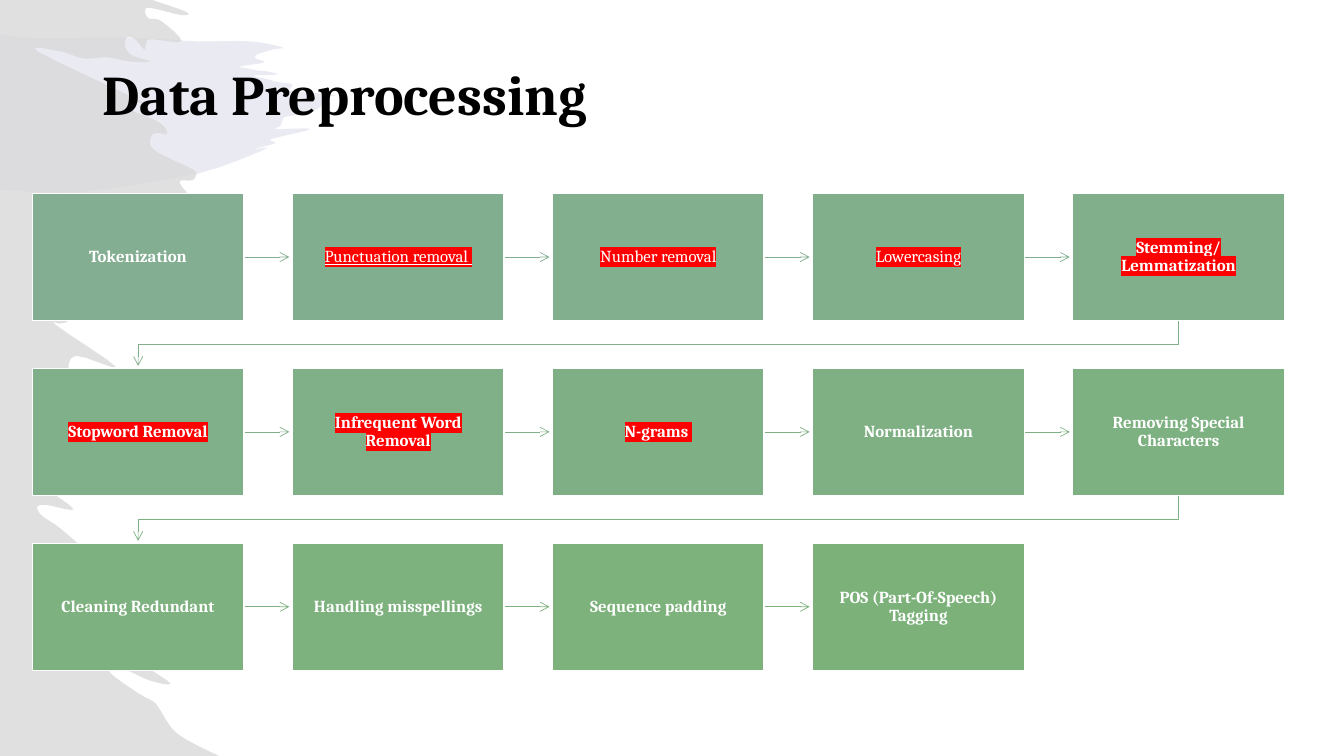
from lxml import etree
from pptx import Presentation
from pptx.dml.color import RGBColor
from pptx.enum.shapes import MSO_CONNECTOR, MSO_SHAPE
from pptx.enum.text import MSO_ANCHOR, PP_ALIGN
from pptx.oxml.ns import qn
from pptx.util import Inches, Pt

STRAIGHT = MSO_CONNECTOR.STRAIGHT
RECTANGLE = MSO_SHAPE.RECTANGLE
MIDDLE = MSO_ANCHOR.MIDDLE
CENTER = PP_ALIGN.CENTER

BLACK = RGBColor(0x00, 0x00, 0x00)
WHITE = RGBColor(0xFF, 0xFF, 0xFF)
RED = RGBColor(0xFF, 0x00, 0x00)
GRAY = RGBColor(0xD9, 0xD9, 0xD9)
LAVENDER = RGBColor(0x97, 0x96, 0xC6)
FIRST_GREEN = RGBColor(0x83, 0xAE, 0x92)
LAST_GREEN = RGBColor(0x7C, 0xB2, 0x7A)
FONT = "Cambria"

COLUMNS = 5
STEP_WIDTH, STEP_HEIGHT = 2.1, 1.26
COLUMN_PITCH, ROW_PITCH = 2.58, 1.735
ARROW_LENGTH = 0.45

# Each step: text, bold, underlined, highlighted
STEPS = [
    ("Tokenization", True, False, False),
    ("Punctuation removal ", False, True, True),
    ("Number removal", False, False, True),
    ("Lowercasing", False, False, True),
    ("Stemming/Lemmatization", True, False, True),
    ("Stopword Removal", True, False, True),
    ("Infrequent Word Removal", True, False, True),
    ("N-grams ", True, False, True),
    ("Normalization", True, False, False),
    ("Removing Special Characters", True, False, False),
    ("Cleaning Redundant", True, False, False),
    ("Handling misspellings", True, False, False),
    ("Sequence padding", True, False, False),
    ("POS (Part-Of-Speech) Tagging", True, False, False),
]

LAVENDER_STROKE = [
    (0, 0.34), (0.25, 0.37), (0.66, 0.38), (1.02, 0.37), (1.51, 0.38), (1.94, 0.41),
    (2.48, 0.41), (2.8, 0.47), (2.71, 0.49), (2.55, 0.54), (2.53, 0.57), (2.56, 0.59),
    (2.62, 0.62), (2.38, 0.66), (2.46, 0.68), (2.56, 0.7), (2.66, 0.71), (2.75, 0.74),
    (2.51, 0.75), (2.63, 0.78), (2.73, 0.81), (2.8, 0.82), (2.88, 0.83), (2.9, 0.85),
    (2.87, 0.88), (2.84, 0.88), (2.63, 0.88), (3.3, 0.94), (3.21, 0.97), (3.18, 1.06),
    (3.07, 1.11), (3, 1.13), (2.83, 1.16), (2.8, 1.2), (2.78, 1.25), (2.74, 1.28),
    (3.08, 1.28), (2.69, 1.38), (2.73, 1.42), (2.52, 1.48), (2.63, 1.48), (1.97, 1.72),
    (1.02, 1.88), (0.65, 1.91), (0.23, 1.9), (0, 1.88),
]
GRAY_STROKE = [
    (1.51, 0), (1.85, 0.12), (1.8, 0.15), (1.5, 0.08), (1.44, 0.1), (1.47, 0.18),
    (1.6, 0.21), (1.8, 0.41), (1.5, 0.39), (1.45, 0.43), (1.43, 0.49), (1.34, 0.39),
    (1.26, 0.37), (1.24, 0.46), (1.31, 0.55), (1.49, 0.61), (1.29, 0.61), (1.07, 0.57),
    (0.83, 0.58), (0.6, 0.51), (0.37, 0.51), (1.39, 1), (1.34, 1.01), (1.27, 1.04),
    (1.32, 1.1), (1.59, 1.22), (1.66, 1.33), (1.57, 1.32), (1.5, 1.35), (1.53, 1.49),
    (1.91, 1.68), (1.94, 1.75), (1.9, 1.79), (1.78, 1.81), (1.95, 2.02), (2.01, 2.08),
    (2.12, 2.17), (2.12, 2.2), (1.97, 2.3), (1.71, 2.27), (2.1, 2.42), (0.84, 2.07),
    (0.92, 2.16), (1.36, 2.4), (1.49, 2.54), (1.62, 2.63), (1.8, 2.63), (1.93, 2.75),
    (1.8, 2.78), (1.64, 2.76), (1.46, 2.8), (1.3, 2.77), (1.1, 2.79), (1.04, 2.94),
    (1.02, 2.96), (0.65, 3.2), (0.55, 3.22), (1.15, 3.64), (0.75, 3.53), (0.69, 3.71),
    (0.88, 3.87), (0.95, 4.19), (0.92, 4.47), (0.84, 4.56), (0.72, 4.73), (0.64, 4.83),
    (0.39, 4.79), (0.73, 5.05), (0.46, 5.01), (0.37, 5.03), (0.42, 5.12), (0.62, 5.26),
    (1.03, 5.64), (0.63, 5.46), (1.05, 5.85), (1.15, 5.99), (1.34, 6.31), (1.33, 6.34),
    (1.11, 6.29), (1.39, 6.57), (1.69, 6.78), (1.48, 6.75), (1.19, 6.62), (1.09, 6.67),
    (1.36, 6.87), (1.52, 6.96), (1.58, 7.03), (1.76, 7.28), (2.17, 7.5),
]


def smooth(points, parts=4):
    """Return points along a Catmull-Rom curve through the given points."""
    padded = [points[0], *points, points[-1]]
    curve = []
    for a, b, c, d in zip(padded, padded[1:], padded[2:], padded[3:]):
        for t in (part / parts for part in range(parts)):
            curve.append(tuple(
                b[i] + 0.5 * t * (c[i] - a[i]
                                  + t * (2 * a[i] - 5 * b[i] + 4 * c[i] - d[i])
                                  + t * t * (3 * b[i] - a[i] - 3 * c[i] + d[i]))
                for i in (0, 1)))
    return curve + [points[-1]]


def add_outline(slide, points, close):
    """Add a freeform through points given in inches."""
    corners = [(Inches(x), Inches(y)) for x, y in points]
    builder = slide.shapes.build_freeform(*corners[0], scale=1.0)
    builder.add_line_segments(corners[1:], close=close)
    shape = builder.convert_to_shape()
    shape.shadow.inherit = False
    return shape


def add_brush_stroke(slide, points, color, opacity):
    """Add a translucent brush stroke."""
    shape = add_outline(slide, points, True)
    shape.fill.solid()
    shape.fill.fore_color.rgb = color
    shape.line.fill.background()
    color_element = shape.fill._xPr.find(qn("a:solidFill"))[0]
    etree.SubElement(color_element, qn("a:alpha"), val=str(opacity * 1000))


def add_title(slide, left, top, width, height):
    """Add the slide title in the given box."""
    box = slide.shapes.add_textbox(*map(Inches, (left, top, width, height)))
    frame = box.text_frame
    frame.word_wrap = True
    frame.vertical_anchor = MIDDLE
    paragraph = frame.paragraphs[0]
    paragraph.text = "Data Preprocessing"
    paragraph.line_spacing = 0.9
    style_font(paragraph.font, 40, BLACK, True)


def style_font(font, size, color, bold):
    """Set the common properties of a font."""
    font.name = FONT
    font.size = Pt(size)
    font.color.rgb = color
    font.bold = bold


def style_arrow(line, color):
    """Make a line thin with an open arrowhead at its end."""
    line.color.rgb = color
    line.width = Pt(0.5)
    etree.SubElement(line._get_or_add_ln(), qn("a:tailEnd"), type="arrow")


def add_step(slide, left, top, step, color):
    """Add one step box with its label."""
    text, bold, underlined, highlighted = step
    shape = slide.shapes.add_shape(
        RECTANGLE, *map(Inches, (left, top, STEP_WIDTH, STEP_HEIGHT)))
    shape.shadow.inherit = False
    shape.fill.solid()
    shape.fill.fore_color.rgb = color
    shape.line.color.rgb = WHITE
    shape.line.width = Pt(1)
    frame = shape.text_frame
    frame.word_wrap = True
    frame.vertical_anchor = MIDDLE
    frame.margin_left = frame.margin_right = Inches(0.1)
    frame.margin_top = frame.margin_bottom = Inches(0.11)
    paragraph = frame.paragraphs[0]
    paragraph.alignment = CENTER
    paragraph.line_spacing = 0.9
    run = paragraph.add_run()
    run.text = text
    style_font(paragraph.font, 12, WHITE, bold)
    paragraph.font.underline = underlined
    if highlighted:
        highlight = etree.SubElement(run._r.get_or_add_rPr(), qn("a:highlight"))
        etree.SubElement(highlight, qn("a:srgbClr"), val=str(RED))


def add_arrow(slide, left, middle, color):
    """Add the arrow to the next step in the row."""
    connector = slide.shapes.add_connector(
        STRAIGHT, *map(Inches, (left, middle, left + ARROW_LENGTH, middle)))
    etree.SubElement(connector._element.spPr, qn("a:effectLst"))
    style_arrow(connector.line, color)


def add_return_arrow(slide, start, end, top, color):
    """Add the bent arrow from the end of a row to the next row."""
    bend = top + 0.24
    points = [(start, top), (start, bend), (end, bend), (end, top + ARROW_LENGTH)]
    shape = add_outline(slide, points, False)
    shape.fill.background()
    style_arrow(shape.line, color)


def add_flow(slide, left, top):
    """Add the grid of steps and the arrows that join them."""
    last = len(STEPS) - 1
    for index, step in enumerate(STEPS):
        row, column = divmod(index, COLUMNS)
        x, y = left + column * COLUMN_PITCH, top + row * ROW_PITCH
        color = RGBColor(*(round(a + (b - a) * index / last)
                           for a, b in zip(FIRST_GREEN, LAST_GREEN)))
        if column == COLUMNS - 1:
            center = STEP_WIDTH / 2
            add_return_arrow(slide, x + center, left + center, y + STEP_HEIGHT, color)
        elif index < last:
            add_arrow(slide, x + STEP_WIDTH, y + STEP_HEIGHT / 2, color)
        add_step(slide, x, y, step, color)


def main():
    """Build and save the slide."""
    presentation = Presentation()
    presentation.slide_width, presentation.slide_height = Inches(13.33), Inches(7.5)
    slide = presentation.slides.add_slide(presentation.slide_layouts[6])
    add_brush_stroke(slide, smooth(LAVENDER_STROKE), LAVENDER, 20)
    add_brush_stroke(slide, [(0, 0), *smooth(GRAY_STROKE), (0, 7.5)], GRAY, 80)
    add_title(slide, 0.92, 0.4, 11.5, 1.13)
    add_flow(slide, 0.32, 1.92)
    presentation.save("out.pptx")


if __name__ == "__main__":
    main()
